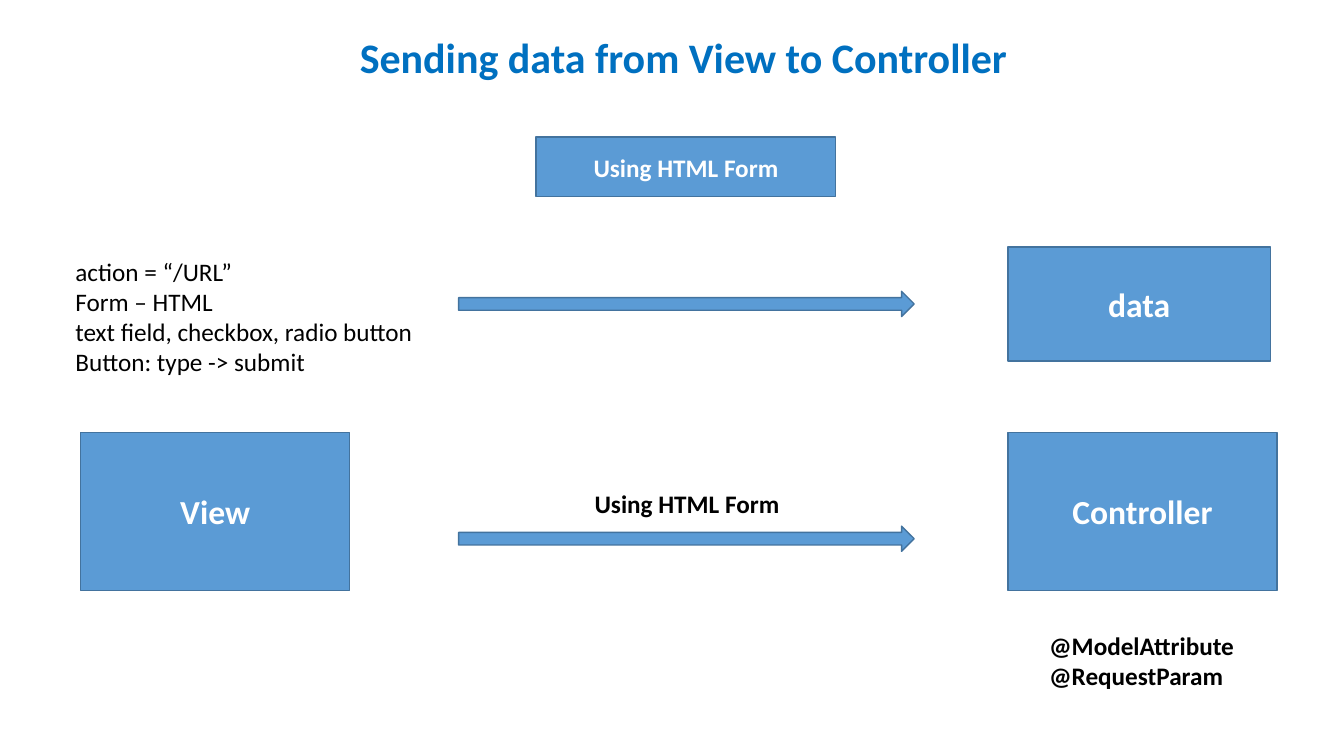
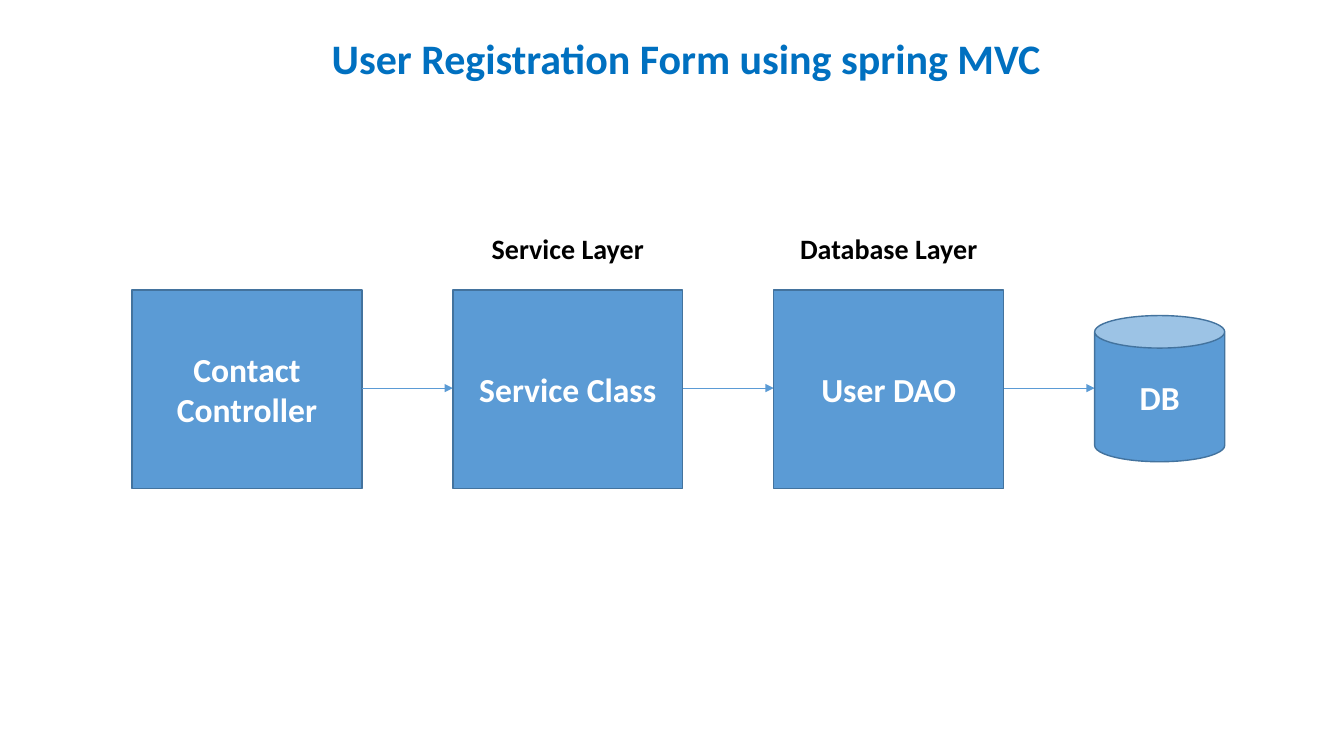
from dataclasses import dataclass

from lxml import etree
from pptx import Presentation
from pptx.dml.color import RGBColor
from pptx.enum import shapes, text
from pptx.oxml import ns
from pptx.util import Pt

BLUE = RGBColor(0x5B, 0x9B, 0xD5)
EDGE = RGBColor(0x43, 0x73, 0x9E)
HEAD = RGBColor(0x00, 0x70, 0xC0)
WHITE = RGBColor(0xFF, 0xFF, 0xFF)
BLACK = RGBColor(0x00, 0x00, 0x00)
FONT = "Calibri"

KIND = shapes.MSO_SHAPE
LEFT, MID = text.PP_ALIGN.LEFT, text.PP_ALIGN.CENTER
TOP, CORE = text.MSO_ANCHOR.TOP, text.MSO_ANCHOR.MIDDLE


@dataclass(frozen=True)
class Area:
    x: float
    y: float
    w: float
    h: float

    def lengths(self) -> tuple:
        return Pt(self.x), Pt(self.y), Pt(self.w), Pt(self.h)


@dataclass(frozen=True)
class Block:
    area: Area
    words: str = ""
    size: float = 24
    kind: KIND = KIND.RECTANGLE


@dataclass(frozen=True)
class Label:
    area: Area
    words: str
    size: float = 18
    bold: bool = True
    align: text.PP_ALIGN = LEFT


def write(frame, words: str, *, size: float, color: RGBColor = BLACK,
          bold: bool = True, align=LEFT, anchor=TOP, wrap: bool = False) -> None:
    """Fill a text frame, with one paragraph for each line of words."""
    frame.auto_size = text.MSO_AUTO_SIZE.NONE
    frame.word_wrap = wrap
    frame.vertical_anchor = anchor
    frame.text = words
    for para in frame.paragraphs:
        para.alignment = align
        font = para.font
        font.name, font.size, font.bold = FONT, Pt(size), bold
        font.color.rgb = color


def add_page(deck, title: str, area: Area):
    page = deck.slides.add_slide(deck.slide_layouts.get_by_name("Title Only"))
    head = page.shapes.title
    head.left, head.top, head.width, head.height = area.lengths()
    write(head.text_frame, title, size=30, color=HEAD)
    return page


def add_block(page, block: Block) -> None:
    shape = page.shapes.add_shape(block.kind, *block.area.lengths())
    shape.shadow.inherit = False
    shape.fill.solid()
    shape.fill.fore_color.rgb = BLUE
    shape.line.color.rgb = EDGE
    shape.line.width = Pt(1)
    if block.words:
        write(shape.text_frame, block.words, size=block.size, color=WHITE,
              align=MID, anchor=CORE, wrap=True)


def add_label(page, label: Label) -> None:
    box = page.shapes.add_textbox(*label.area.lengths())
    write(box.text_frame, label.words, size=label.size, bold=label.bold,
          align=label.align)


def add_link(page, start: float, end: float, y: float) -> None:
    """Draw a thin level arrow from start to end."""
    link = page.shapes.add_connector(
        shapes.MSO_CONNECTOR.STRAIGHT, Pt(start), Pt(y), Pt(end), Pt(y))
    link.line.color.rgb = BLUE
    link.line.width = Pt(0.5)
    tip = etree.SubElement(link.line._get_or_add_ln(), ns.qn("a:tailEnd"))
    tip.set("type", "triangle")
    etree.SubElement(link._element.spPr, ns.qn("a:effectLst"))


def add_form(deck) -> None:
    page = add_page(deck, "Sending data from View to Controller",
                    Area(249.8, 18.7, 481.7, 43.9))
    right, row = 720, 308.9
    wide, high = 192.2, 113
    blocks = [
        Block(Area(383, 98, 214, 42.5), "Using HTML Form", 18),
        Block(Area(right, 176.4, 187.4, 81.4), "data"),
        Block(Area(57.6, row, wide, high), "View"),
        Block(Area(right, row, wide, high), "Controller"),
    ]
    blocks += [Block(Area(327.6, y, 325.4, 18), kind=KIND.RIGHT_ARROW)
               for y in (208.1, 375.8)]
    labels = [
        Label(Area(46.8, 179.3, 260, 94.3),
              "action = “/URL”\nForm – HTML\n"
              "text field, checkbox, radio button\nButton: type -> submit",
              bold=False),
        Label(Area(417.6, 345.6, 147.6, 28.8), "Using HTML Form"),
        Label(Area(742.3, 446.4, 148.3, 51.1),
              "@ModelAttribute\n@RequestParam"),
    ]
    for block in blocks:
        add_block(page, block)
    for label in labels:
        add_label(page, label)


def add_layers(deck) -> None:
    page = add_page(deck, "User Registration Form using spring MVC",
                    Area(229.7, 19.4, 526.3, 43.9))
    left, top, wide, high, step = 94.3, 207.2, 164.2, 141.8, 229.2
    layers = [
        ("Contact\nController", ""),
        ("Service Class", "Service Layer"),
        ("User DAO", "Database Layer"),
    ]
    for i, (words, name) in enumerate(layers):
        x = left + i * step
        add_block(page, Block(Area(x, top, wide, high), words))
        add_link(page, x + wide, x + step, 277.2)
        if name:
            add_label(page, Label(Area(x, 162, wide, 31.7), name, 20, align=MID))
    store = Area(left + len(layers) * step, 225.4, 92.9, 104.4)
    add_block(page, Block(store, "DB", kind=KIND.CAN))


def main() -> None:
    deck = Presentation()
    deck.slide_width, deck.slide_height = Pt(960), Pt(540)
    add_form(deck)
    add_layers(deck)
    deck.save("out.pptx")


if __name__ == "__main__":
    main()
